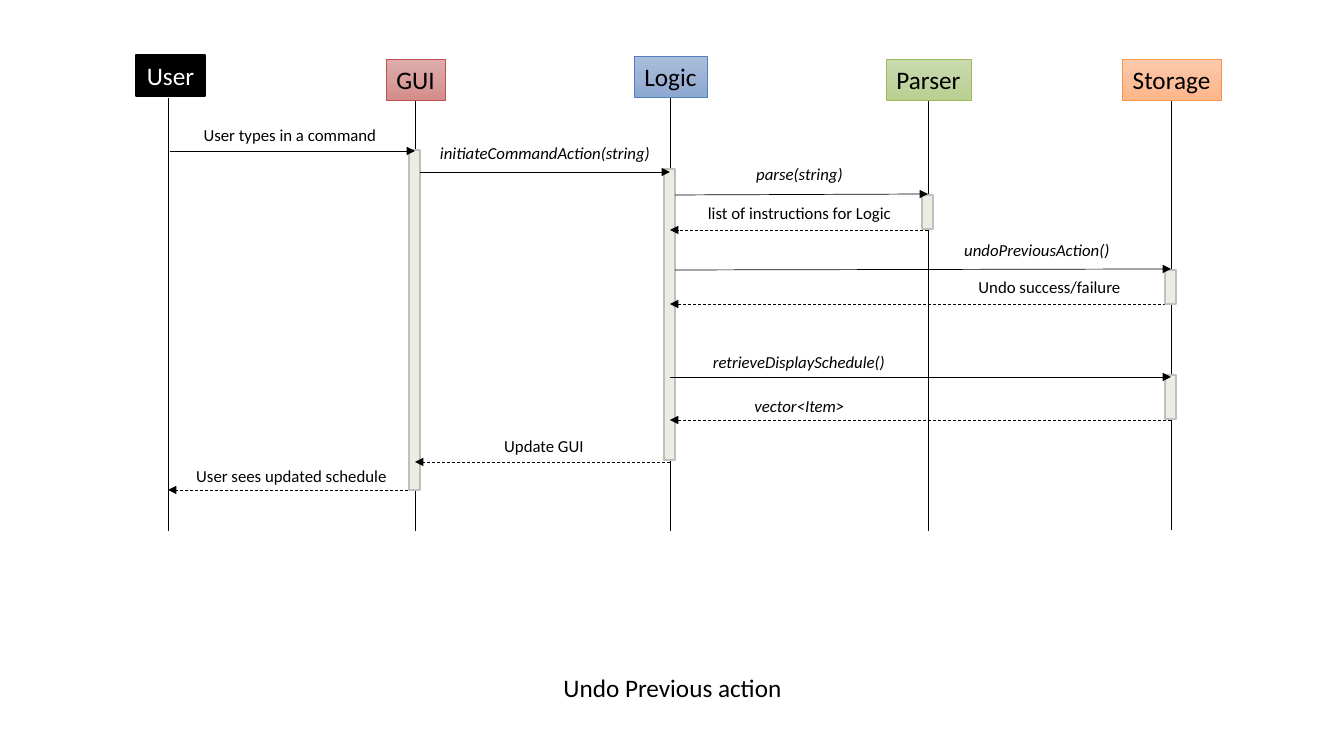
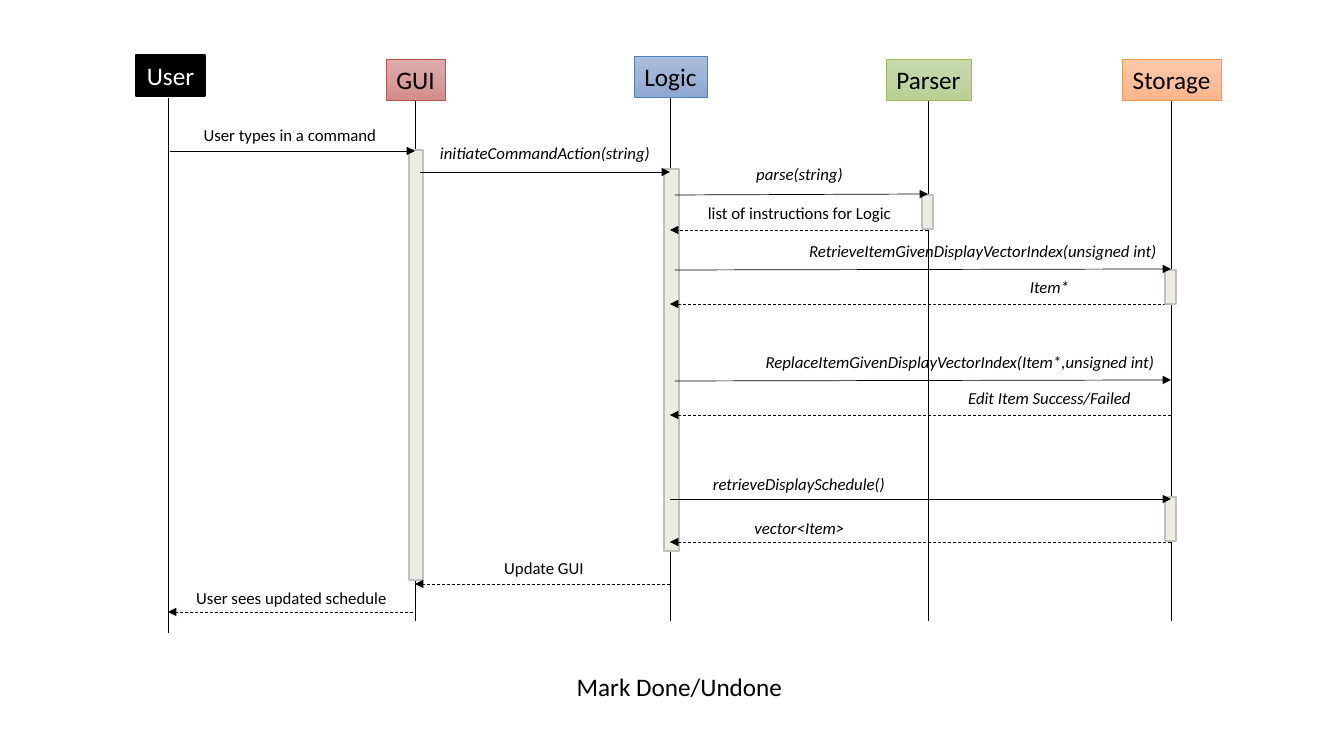
from copy import deepcopy
from lxml import etree
from pptx import Presentation, util as u
from pptx.dml.color import RGBColor
from pptx.enum import dml, shapes, text
from pptx.oxml.ns import qn

PX = 914400 / 100.8
FONT, BLACK, WHITE = "Calibri", "000000", "FFFFFF"
BAR_FILL, BAR_LINE = "EEECE1", "BFBFBF"
USER, GUI, LOGIC, PARSER, STORAGE = range(5)


def add_box(s, box, content="", colours=(), line=None, weight=0.5, size=12,
            color=BLACK, italic=False, spacing=None, wrap=False):
    """Add a text box, or a rectangle filled with one colour or a gradient."""
    box = [u.Emu(round(v * PX)) for v in box]
    if colours:
        sp = s.shapes.add_shape(shapes.MSO_SHAPE.RECTANGLE, *box)
        sp.shadow.inherit = False
        sp.line.color.rgb = RGBColor.from_string(line)
        sp.line.width = u.Pt(weight)
    else:
        sp = s.shapes.add_textbox(*box)
    if len(colours) == 1:
        sp.fill.solid()
        sp.fill.fore_color.rgb = RGBColor.from_string(colours[0])
    elif colours:
        sp.fill.gradient()
        sp.fill.gradient_angle = 270
        stops = sp._element.spPr.find(".//" + qn("a:gsLst"))
        stops.insert(1, deepcopy(stops[0]))
        for stop, position, colour in zip(sp.fill.gradient_stops, (0, 0.5, 1), colours):
            stop.position = position
            stop.color.rgb = RGBColor.from_string(colour)
    if content:
        tf = sp.text_frame
        tf.text = content
        tf.word_wrap = wrap
        tf.auto_size = text.MSO_AUTO_SIZE.SHAPE_TO_FIT_TEXT
        p = tf.paragraphs[0]
        p.alignment = text.PP_ALIGN.CENTER
        p.line_spacing = spacing
        font = p.runs[0].font
        font.name, font.size, font.italic = FONT, u.Pt(size), italic
        font.color.rgb = RGBColor.from_string(color)


def add_line(s, x1, y1, x2, y2, arrow=False, dashed=False):
    """Add a thin black line, with an arrowhead at its end if asked."""
    ends = [u.Emu(round(v * PX)) for v in (x1, y1, x2, y2)]
    c = s.shapes.add_connector(shapes.MSO_CONNECTOR.STRAIGHT, *ends)
    c.line.color.rgb = RGBColor.from_string(BLACK)
    c.line.width = u.Pt(0.5)
    if dashed:
        c.line.dash_style = dml.MSO_LINE.DASH
    if arrow:
        etree.SubElement(c.line._get_or_add_ln(), qn("a:tailEnd"), type="triangle")
    etree.SubElement(c._element.spPr, qn("a:effectLst"))


# name, header left, top, width, lifeline x, lifeline top, fill, outline, weight, text
participants = [
    ("User", 136, 55, 69, 168, 98, [BLACK], BLACK, 1, WHITE),
    ("GUI", 386, 59, 59, 415, 98, ["DDACAB", "D79E9D", "D48D8B"], "C0504D", 0.5, BLACK),
    ("Logic", 634, 56, 73, 670, 98, ["ABBEDB", "9EB3D5", "8CA7D2"], "4F81BD", 0.5, BLACK),
    ("Parser", 886, 59, 85, 928, 98, ["CADAAF", "C1D4A2", "B9D091"], "9BBB59", 0.5, BLACK),
    ("Storage", 1122, 59, 99, 1171, 97, ["FDCAAC", "FBBF9C", "FFB68A"], "F79646", 0.5, BLACK),
]
life_x = [row[4] for row in participants]

# sender, receiver, start offset, start y, end y, label, left, top, width, italic, spacing
opening = [
    (USER, GUI, 2, 151, 151, "User types in a command", 167, 120, 246, False, None),
    (GUI, LOGIC, 5, 172, 172, "initiateCommandAction(string)", 412, 138, 266, True, None),
    (LOGIC, PARSER, 5, 195, 194, "parse(string)", 672, 159, 255, True, None),
    (PARSER, LOGIC, 0, 230, 230, "list of instructions for Logic", 672, 198, 255, False, None),
]
undo = [
    (LOGIC, STORAGE, 5, 270, 269, "undoPreviousAction()", 906, 235, 262, True, None),
    (STORAGE, LOGIC, 0, 304, 304, "Undo success/failure", 928, 272, 243, False, None),
]
mark = [
    (LOGIC, STORAGE, 5, 270, 269, "RetrieveItemGivenDisplayVectorIndex(unsigned int)",
     795, 236, 376, True, None),
    (STORAGE, LOGIC, 0, 304, 304, "Item*", 928, 272, 243, True, None),
    (LOGIC, STORAGE, 5, 381, 380, "ReplaceItemGivenDisplayVectorIndex(Item*,unsigned int)",
     750, 347, 420, True, None),
    (STORAGE, LOGIC, 0, 415, 415, "Edit Item Success/Failed", 928, 383, 243, True, None),
]
closing = [
    (LOGIC, STORAGE, 0, 377, 377, "retrieveDisplaySchedule()", 670, 337, 258, True, 1.5),
    (STORAGE, LOGIC, 0, 420, 420, "vector<Item>", 672, 381, 255, True, 1.5),
    (LOGIC, GUI, 0, 462, 462, "Update GUI", 418, 421, 252, False, 1.5),
    (GUI, USER, -2, 490, 490, "User sees updated schedule", 169, 451, 245, False, 1.5),
]

# caption, its box, steps in the middle, shift of the closing steps,
# lifeline ends, (width, height) of the GUI and Logic bars
diagrams = [
    ("Undo Previous action", (552, 667, 241, 41), undo, 0,
     (531, 531, 531, 531, 530), (11, 340), (11, 291)),
    ("Mark Done/Undone", (565, 666, 229, 41), mark, 122,
     (633, 621, 621, 621, 621), (14, 430), (15, 382)),
]

prs = Presentation()
prs.slide_width, prs.slide_height = u.Emu(round(1344 * PX)), u.Emu(round(756 * PX))

for caption, caption_box, middle, shift, life_ends, gui_bar, logic_bar in diagrams:
    s = prs.slides.add_slide(prs.slide_layouts[6])
    add_box(s, caption_box, caption, size=18)

    for row, end in zip(participants, life_ends):
        name, left, top, width, x, life_top, colours, line, weight, color = row
        add_line(s, x, life_top, x, end)
        add_box(s, (left, top, width, 41), name, colours, line, weight, 18, color)

    messages = opening + middle
    for a, b, dx, y1, y2, label, left, top, width, italic, spacing in closing:
        messages.append((a, b, dx, y1 + shift, y2 + shift, label, left, top + shift,
                         width, italic, spacing))
    bars = {
        GUI: [(150, *gui_bar)],
        LOGIC: [(169, *logic_bar)],
        PARSER: [(195, 11, 34)],
        STORAGE: [(270, 11, 34), (375 + shift, 11, 44)],
    }

    # Replies leave from under a bar; calls arrive on top of it
    for who in bars:
        for a, b, dx, y1, y2, *rest in messages:
            if a == who and b < a:
                add_line(s, life_x[a] + dx, y1, life_x[b], y2, arrow=True, dashed=True)
        for top, width, height in bars[who]:
            add_box(s, (life_x[who] - 6, top, width, height), colours=[BAR_FILL],
                    line=BAR_LINE, weight=1)
        for a, b, dx, y1, y2, *rest in messages:
            if b == who and a < b:
                add_line(s, life_x[a] + dx, y1, life_x[b], y2, arrow=True)

    for *ends, label, left, top, width, italic, spacing in messages:
        add_box(s, (left, top, width, 40 if spacing else 30), label,
                italic=italic, spacing=spacing, wrap=True)

prs.save("out.pptx")
